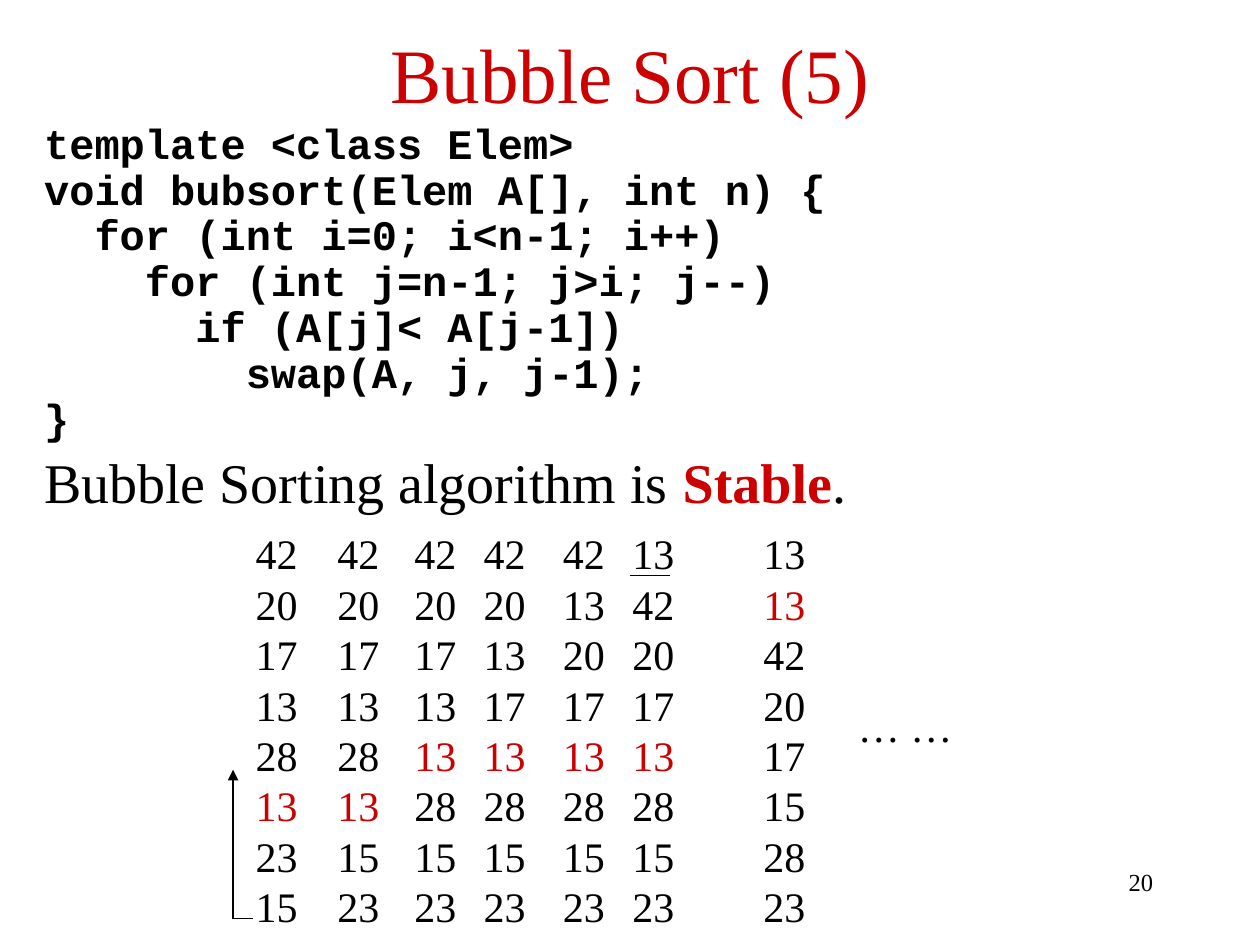
from lxml import etree
from pptx import Presentation
from pptx.dml.color import RGBColor
from pptx.enum.shapes import MSO_CONNECTOR
from pptx.enum.text import MSO_ANCHOR, MSO_AUTO_SIZE, PP_ALIGN
from pptx.oxml.ns import qn
from pptx.util import Inches, Pt

LINE = MSO_CONNECTOR.STRAIGHT
MIDDLE = MSO_ANCHOR.MIDDLE
FIXED = MSO_AUTO_SIZE.NONE
LEFT, CENTER, RIGHT = PP_ALIGN.LEFT, PP_ALIGN.CENTER, PP_ALIGN.RIGHT

HUES = {"ink": "000000", "red": "CC0000"}
SERIF, MONO = "Times New Roman", "Courier New"

CODE = """template <class Elem>
void bubsort(Elem A[], int n) {
  for (int i=0; i<n-1; i++)
    for (int j=n-1; j>i; j--)
      if (A[j]< A[j-1])
        swap(A, j, j-1);
}"""
CLAIM = [("Bubble Sorting algorithm is ", "ink", False),
         ("Stable", "red", True), (".", "ink", False)]

# Left edge of each column and its values; * marks the second 13
STEPS = [
    (1.93, "42 20 17 13 28 13* 23 15"),
    (2.58, "42 20 17 13 28 13* 15 23"),
    (3.19, "42 20 17 13 13* 28 15 23"),
    (3.74, "42 20 13 17 13* 28 15 23"),
    (4.37, "42 13 20 17 13* 28 15 23"),
    (4.92, "13 42 20 17 13* 28 15 23"),
    (5.96, "13 13* 42 20 17 15 28 23"),
]


def add_run(para, text, size, hue="ink", face=SERIF, bold=False):
    run = para.add_run()
    run.text = text
    look = {"size": Pt(size), "name": face, "bold": bold}
    for key, value in look.items():
        setattr(run.font, key, value)
    run.font.color.rgb = RGBColor.from_string(HUES[hue])


def place(shape, box):
    for key, value in zip(("left", "top", "width", "height"), box):
        setattr(shape, key, Inches(value))


def next_para(frame, first):
    return frame.paragraphs[0] if first else frame.add_paragraph()


def add_label(slide, box, texts, size, align=LEFT, wrap=True):
    frame = slide.shapes.add_textbox(*map(Inches, box)).text_frame
    frame.word_wrap = wrap
    for i, text in enumerate(texts):
        para = next_para(frame, i == 0)
        para.alignment = align
        hue = "red" if text.endswith("*") else "ink"
        add_run(para, text.rstrip("*"), size, hue)


def add_line(slide, start, end, arrow=False):
    line = slide.shapes.add_connector(LINE, *map(Inches, start + end))
    line.line.width = Pt(0.75)
    line.line.color.rgb = RGBColor.from_string(HUES["ink"])
    if arrow:
        etree.SubElement(line.line._get_or_add_ln(), qn("a:tailEnd"),
                         type="triangle")
    etree.SubElement(line._element.spPr, qn("a:effectLst"))


def fill_title(slide, box):
    title = slide.shapes.title
    place(title, box)
    frame = title.text_frame
    frame.auto_size, frame.vertical_anchor = FIXED, MIDDLE
    frame.paragraphs[0].alignment = CENTER
    add_run(frame.paragraphs[0], "Bubble Sort (5)", 44, "red")


def fill_body(slide, box):
    body = slide.placeholders[1]
    place(body, box)
    frame = body.text_frame
    frame.auto_size = FIXED

    def add_para(first, pitch, gap):
        para = next_para(frame, first)
        props = para._p.get_or_add_pPr()
        props.set("marL", str(Inches(0.38)))
        props.set("indent", str(-Inches(0.38)))
        etree.SubElement(props, qn("a:buNone"))
        para.line_spacing = pitch
        para.space_before = Pt(0 if first else gap)
        return para

    for i, text in enumerate(CODE.split("\n")):
        add_run(add_para(i == 0, 0.7, 6), text, 24, face=MONO, bold=True)
    claim = add_para(False, 0.9, 8)
    for text, hue, bold in CLAIM:
        add_run(claim, text, 32, hue, bold=bold)


def draw_steps(slide, top, width, height):
    for left, values in STEPS:
        add_label(slide, (left, top, width, height), values.split(), 24)
    foot = top + height - 0.15
    stem = STEPS[0][0] - 0.08
    add_line(slide, (stem, foot), (stem, foot - 1.18), arrow=True)
    add_line(slide, (stem, foot), (stem + 0.16, foot))
    rule = STEPS[5][0] + 0.08
    add_line(slide, (rule, top + 0.43), (rule + 0.32, top + 0.43))
    add_label(slide, (6.71, 5.51, 1.03, 0.5), ["… …"], 24, wrap=False)


def main():
    deck = Presentation()
    deck.slide_width, deck.slide_height = Inches(10), Inches(7.5)
    slide = deck.slides.add_slide(deck.slide_layouts[1])
    fill_title(slide, (0.5, 0.08, 9, 1))
    fill_body(slide, (0.25, 0.99, 8.53, 3.7))
    draw_steps(slide, 4.14, 0.53, 3.3)
    add_label(slide, (7.17, 6.83, 2.08, 0.5), ["20"], 14, RIGHT)
    deck.save("out.pptx")


if __name__ == "__main__":
    main()
